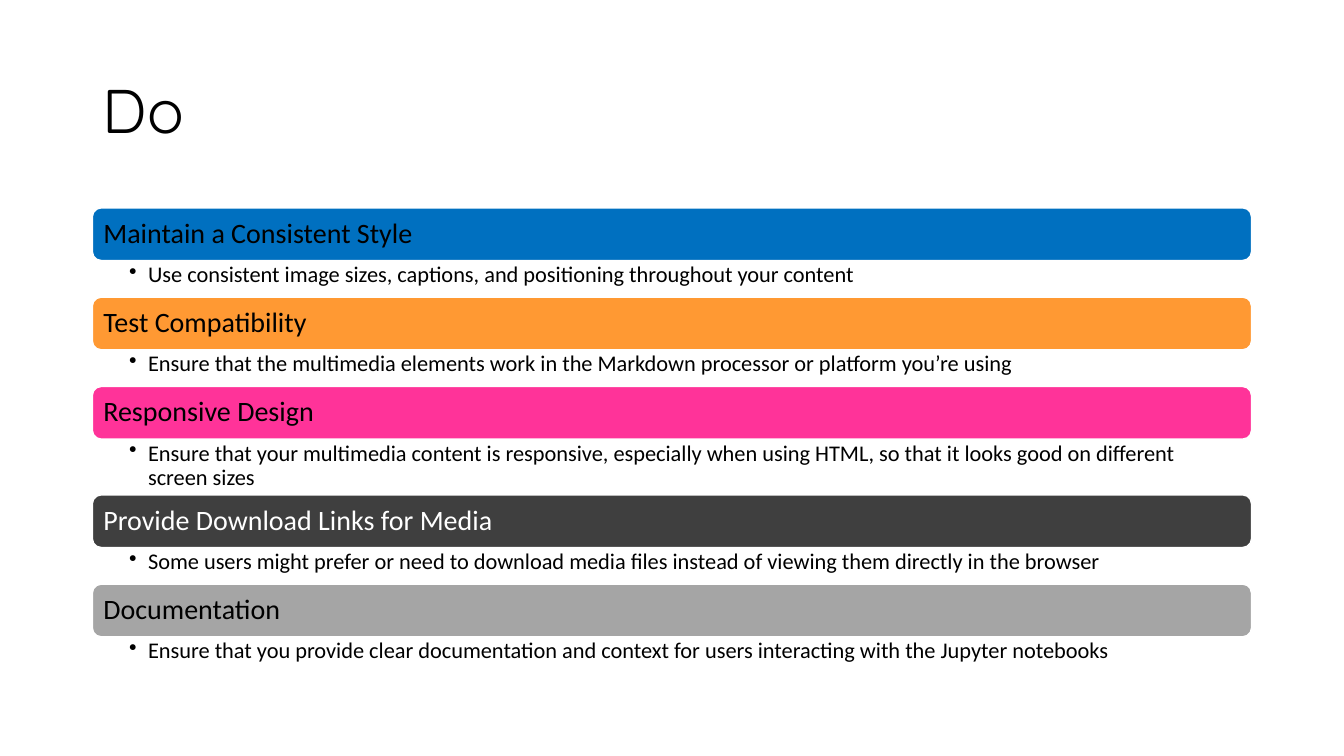
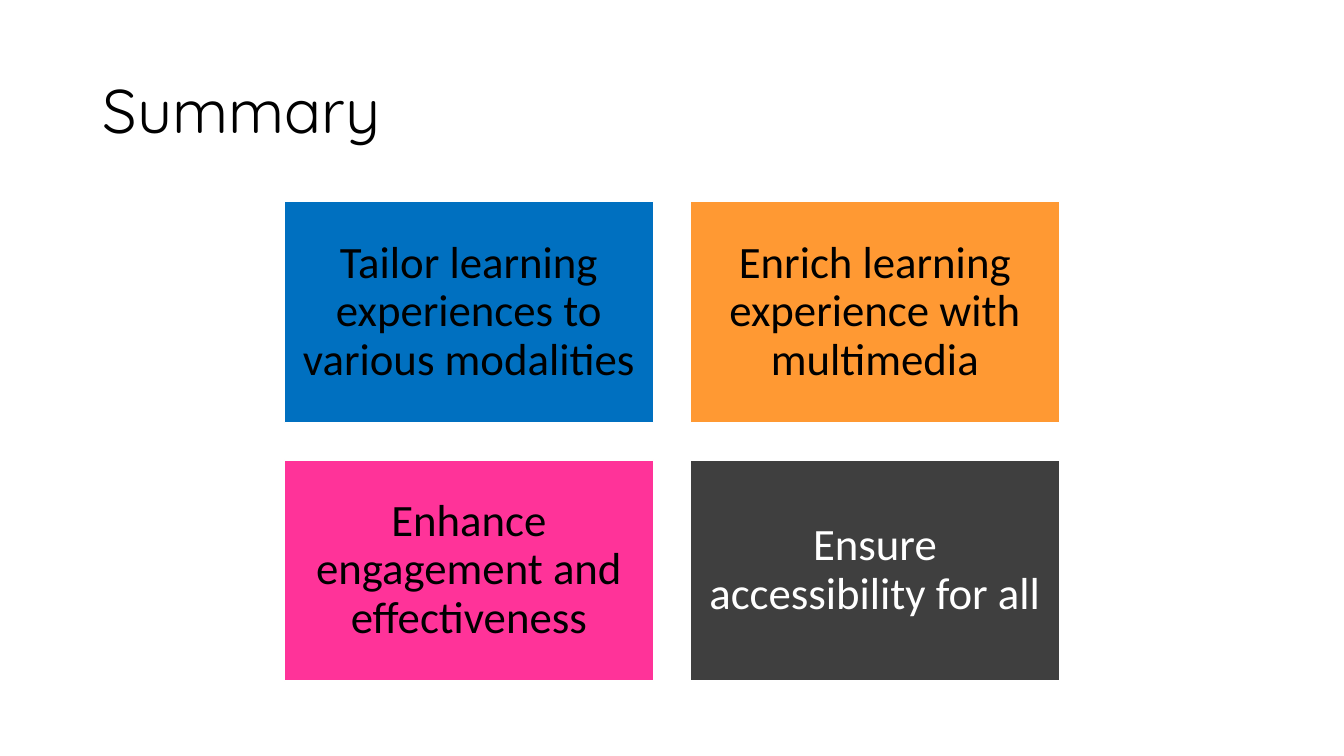
from lxml import etree
from pptx import Presentation
from pptx.dml.color import RGBColor
from pptx.enum import shapes, text
from pptx.oxml.ns import qn
from pptx.util import Pt


class Theme:
    black = RGBColor(0x00, 0x00, 0x00)
    white = RGBColor(0xFF, 0xFF, 0xFF)
    blue = RGBColor(0x00, 0x70, 0xC0)
    orange = RGBColor(0xFF, 0x99, 0x33)
    pink = RGBColor(0xFF, 0x33, 0x99)
    dark = RGBColor(0x3F, 0x3F, 0x3F)
    grey = RGBColor(0xA5, 0xA5, 0xA5)
    title_font, body_font = "Quicksand", "Calibri"
    title_size, card_size, bar_size, note_size = 44, 32, 20, 16


LEFT, WIDTH = 66, 828

prs = Presentation()
prs.slide_width, prs.slide_height = Pt(960), Pt(540)


def set_text(sp, words, size, color, insets, font=Theme.body_font,
             align=text.PP_ALIGN.LEFT, anchor=text.MSO_ANCHOR.MIDDLE):
    """Fill a shape with one paragraph; insets are left, top, right, bottom."""
    tf = sp.text_frame
    tf.text = words
    tf.word_wrap = True
    tf.auto_size = text.MSO_AUTO_SIZE.NONE
    tf.vertical_anchor = anchor
    tf.margin_left, tf.margin_top, tf.margin_right, tf.margin_bottom = map(Pt, insets)
    p = tf.paragraphs[0]
    p.alignment = align
    p.line_spacing = 0.9
    r = p.runs[0]
    r.font.name, r.font.size = font, Pt(size)
    r.font.color.rgb = color
    return p


def add_block(s, kind, box, fill):
    """Add a filled shape with a thin white outline."""
    sp = s.shapes.add_shape(kind, *map(Pt, box))
    sp.shadow.inherit = False
    sp.fill.solid()
    sp.fill.fore_color.rgb = fill
    sp.line.color.rgb = Theme.white
    sp.line.width = Pt(1)
    return sp


# Slides with their shared title style
slides = []
for heading in ("Do", "Summary"):
    s = prs.slides.add_slide(prs.slide_layouts[5])
    title = s.shapes.title
    title.left, title.top, title.width, title.height = map(Pt, (LEFT, 28.75, WIDTH, 104.4))
    set_text(title, heading, Theme.title_size, Theme.black, (7.2, 3.6, 7.2, 3.6),
             font=Theme.title_font)
    slides.append(s)
do_slide, summary_slide = slides

# Do: coloured bars, each followed by a bulleted note
BAR_H, NOTE_H, TALL_NOTE_H = 37.6, 26.2, 39.8
practices = [
    ("Maintain a Consistent Style", Theme.blue, Theme.black, NOTE_H,
     "Use consistent image sizes, captions, and positioning throughout your content"),
    ("Test Compatibility", Theme.orange, Theme.black, NOTE_H,
     "Ensure that the multimedia elements work in the Markdown processor or platform "
     "you’re using"),
    ("Responsive Design", Theme.pink, Theme.black, TALL_NOTE_H,
     "Ensure that your multimedia content is responsive, especially when using HTML, "
     "so that it looks good on different screen sizes"),
    ("Provide Download Links for Media", Theme.dark, Theme.white, NOTE_H,
     "Some users might prefer or need to download media files instead of viewing them "
     "directly in the browser"),
    ("Documentation", Theme.grey, Theme.black, NOTE_H,
     "Ensure that you provide clear documentation and context for users interacting "
     "with the Jupyter notebooks"),
]
top = 148.5
for name, fill, color, note_h, note in practices:
    bar = add_block(do_slide, shapes.MSO_SHAPE.ROUNDED_RECTANGLE,
                    (LEFT, top, WIDTH, BAR_H), fill)
    set_text(bar, name, Theme.bar_size, color, (6, 6, 6, 6))
    top += BAR_H

    tb = do_slide.shapes.add_textbox(*map(Pt, (LEFT, top, WIDTH, note_h)))
    p = set_text(tb, note, Theme.note_size, Theme.black, (26.3, 2, 11.5, 2),
                 anchor=text.MSO_ANCHOR.TOP)
    p.level = 1
    pPr = p._p.get_or_add_pPr()
    pPr.set("marL", str(Pt(13.5)))
    pPr.set("indent", str(-Pt(13.5)))
    etree.SubElement(pPr, qn("a:buChar")).set("char", "•")
    top += note_h

# Summary: two by two grid of cards, centred across the slide
CARD_W, CARD_H, GAP = 263.5, 158, 26.5
grid_left, grid_top = (960 - 2 * CARD_W - GAP) / 2, 144
cards = [
    ("Tailor learning experiences to various modalities", Theme.blue, Theme.black),
    ("Enrich learning experience with multimedia", Theme.orange, Theme.black),
    ("Enhance engagement and effectiveness", Theme.pink, Theme.black),
    ("Ensure accessibility for all", Theme.dark, Theme.white),
]
for i, (words, fill, color) in enumerate(cards):
    row, col = divmod(i, 2)
    card = add_block(summary_slide, shapes.MSO_SHAPE.RECTANGLE,
                     (grid_left + col * (CARD_W + GAP), grid_top + row * (CARD_H + GAP),
                      CARD_W, CARD_H), fill)
    set_text(card, words, Theme.card_size, color, (9.6, 9.6, 9.6, 9.6),
             align=text.PP_ALIGN.CENTER)

prs.save("out.pptx")
